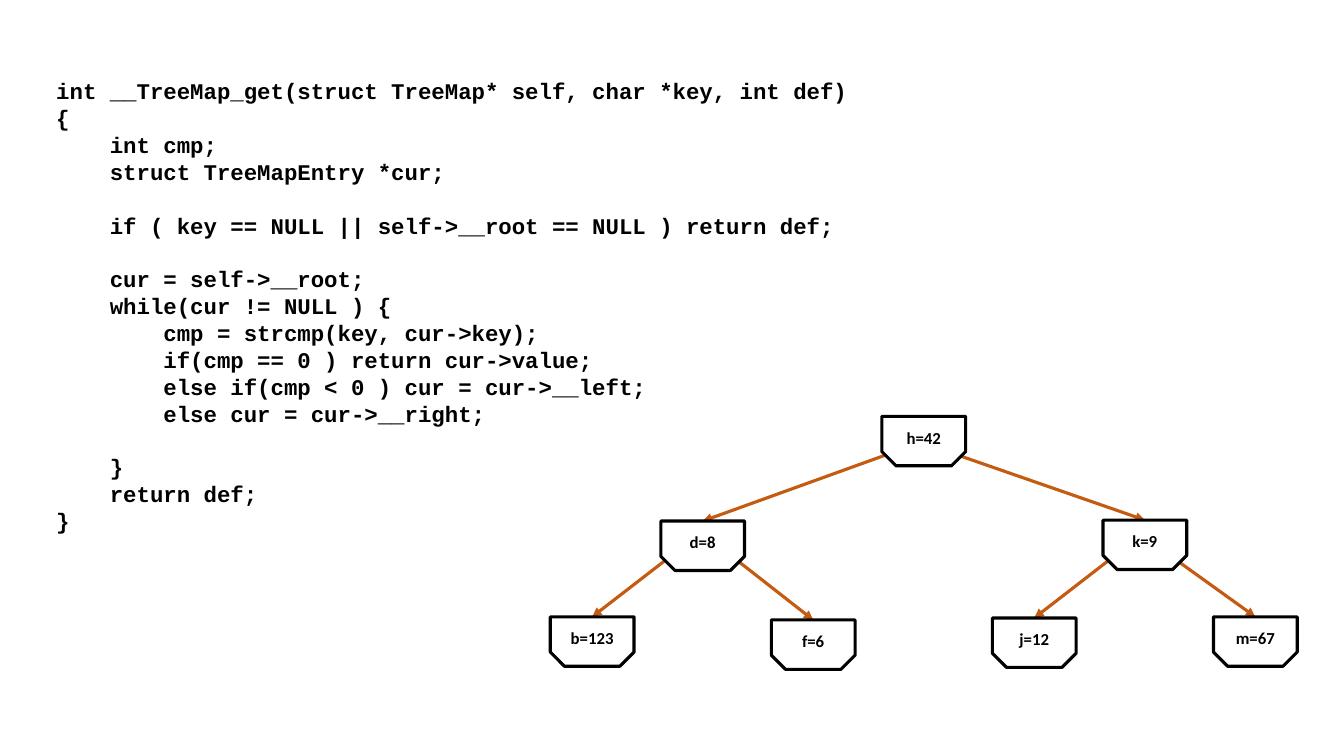
from lxml import etree
from pptx import Presentation
from pptx.dml.color import RGBColor
from pptx.enum.shapes import MSO_CONNECTOR, MSO_SHAPE
from pptx.enum.text import MSO_ANCHOR, PP_ALIGN
from pptx.oxml.ns import qn
from pptx.util import Pt

BLACK = RGBColor(0x00, 0x00, 0x00)
WHITE = RGBColor(0xFF, 0xFF, 0xFF)
ORANGE = RGBColor(0xC5, 0x5A, 0x11)
STRAIGHT = MSO_CONNECTOR.STRAIGHT
SNIPPED = MSO_SHAPE.SNIP_2_SAME_RECTANGLE
MIDDLE = MSO_ANCHOR.MIDDLE
CENTER = PP_ALIGN.CENTER

CODE = """int __TreeMap_get(struct TreeMap* self, char *key, int def)
{
    int cmp;
    struct TreeMapEntry *cur;

    if ( key == NULL || self->__root == NULL ) return def;

    cur = self->__root;
    while(cur != NULL ) {
        cmp = strcmp(key, cur->key);
        if(cmp == 0 ) return cur->value;
        else if(cmp < 0 ) cur = cur->__left;
        else cur = cur->__right;

    }
    return def;
}"""

ENTRY_LEFT, ENTRY_STEP = 393.1, 78.95
ENTRY_WIDTH, ENTRY_HEIGHT = 59.8, 35.3
ENTRIES = {
    "b=123": 440.6,
    "d=8": 372.2,
    "f=6": 442.8,
    "h=42": 297.4,
    "j=12": 441.4,
    "k=9": 371.5,
    "m=67": 440.6,
}
BRANCHES = [
    ("h=42", "d=8", 19.4, 21.6),
    ("h=42", "k=9", 55.4, 28.1),
    ("d=8", "b=123", 2.2, 28.8),
    ("d=8", "f=6", 55.4, 28.8),
    ("k=9", "j=12", 5, 28.1),
    ("k=9", "m=67", 51.8, 28.1),
]


class TreeSlide:
    """Draws code, tree entries and branches on one slide in a shared style."""

    line_width = 2.25
    code_font, code_size, code_pitch = "Courier New", 16, 19.2
    entry_font, entry_size = "Calibri", 12

    def __init__(self, slide):
        self.shapes = slide.shapes

    def add_words(self, paragraph, words, font, size):
        run = paragraph.add_run()
        run.text = words
        run.font.name = font
        run.font.size = Pt(size)
        run.font.bold = True
        run.font.color.rgb = BLACK

    def add_code(self, source, left, top, width, height):
        frame = self.shapes.add_textbox(Pt(left), Pt(top), Pt(width), Pt(height)).text_frame
        frame.word_wrap = True
        paragraph, gap = frame.paragraphs[0], 0
        for number, statement in enumerate(source.split("\n")):
            if not statement:
                gap += self.code_pitch
                continue
            if number:
                paragraph = frame.add_paragraph()
                paragraph.space_before = Pt(gap)
            paragraph.line_spacing = Pt(self.code_pitch)
            self.add_words(paragraph, statement, self.code_font, self.code_size)
            gap = 0

    def add_entry(self, label, left, top):
        box = self.shapes.add_shape(SNIPPED, Pt(left), Pt(top), Pt(ENTRY_WIDTH), Pt(ENTRY_HEIGHT))
        box.shadow.inherit = False
        box.adjustments[0] = 0
        box.adjustments[1] = 0.286
        box.fill.solid()
        box.fill.fore_color.rgb = WHITE
        box.line.color.rgb = BLACK
        box.line.width = Pt(self.line_width)
        box.text_frame.vertical_anchor = MIDDLE
        paragraph = box.text_frame.paragraphs[0]
        paragraph.alignment = CENTER
        self.add_words(paragraph, label, self.entry_font, self.entry_size)

    def add_branch(self, x1, y1, x2, y2):
        arrow = self.shapes.add_connector(STRAIGHT, Pt(x1), Pt(y1), Pt(x2), Pt(y2))
        arrow.line.color.rgb = ORANGE
        arrow.line.width = Pt(self.line_width)
        properties = arrow._element.spPr
        etree.SubElement(properties.find(qn("a:ln")), qn("a:tailEnd"), type="triangle")
        etree.SubElement(properties, qn("a:effectLst"))


def main():
    deck = Presentation()
    deck.slide_width, deck.slide_height = Pt(960), Pt(540)
    page = TreeSlide(deck.slides.add_slide(deck.slide_layouts[6]))
    page.add_code(CODE, 33.1, 51.8, 849.6, 349.2)

    corners = {
        label: (ENTRY_LEFT + column * ENTRY_STEP, top)
        for column, (label, top) in enumerate(ENTRIES.items())
    }
    for parent, child, across, down in BRANCHES:
        parent_left, parent_top = corners[parent]
        child_left, child_top = corners[child]
        page.add_branch(parent_left + across, parent_top + down,
                        child_left + ENTRY_WIDTH / 2, child_top)
    for label, (left, top) in corners.items():
        page.add_entry(label, left, top)

    deck.save("out.pptx")


if __name__ == "__main__":
    main()
